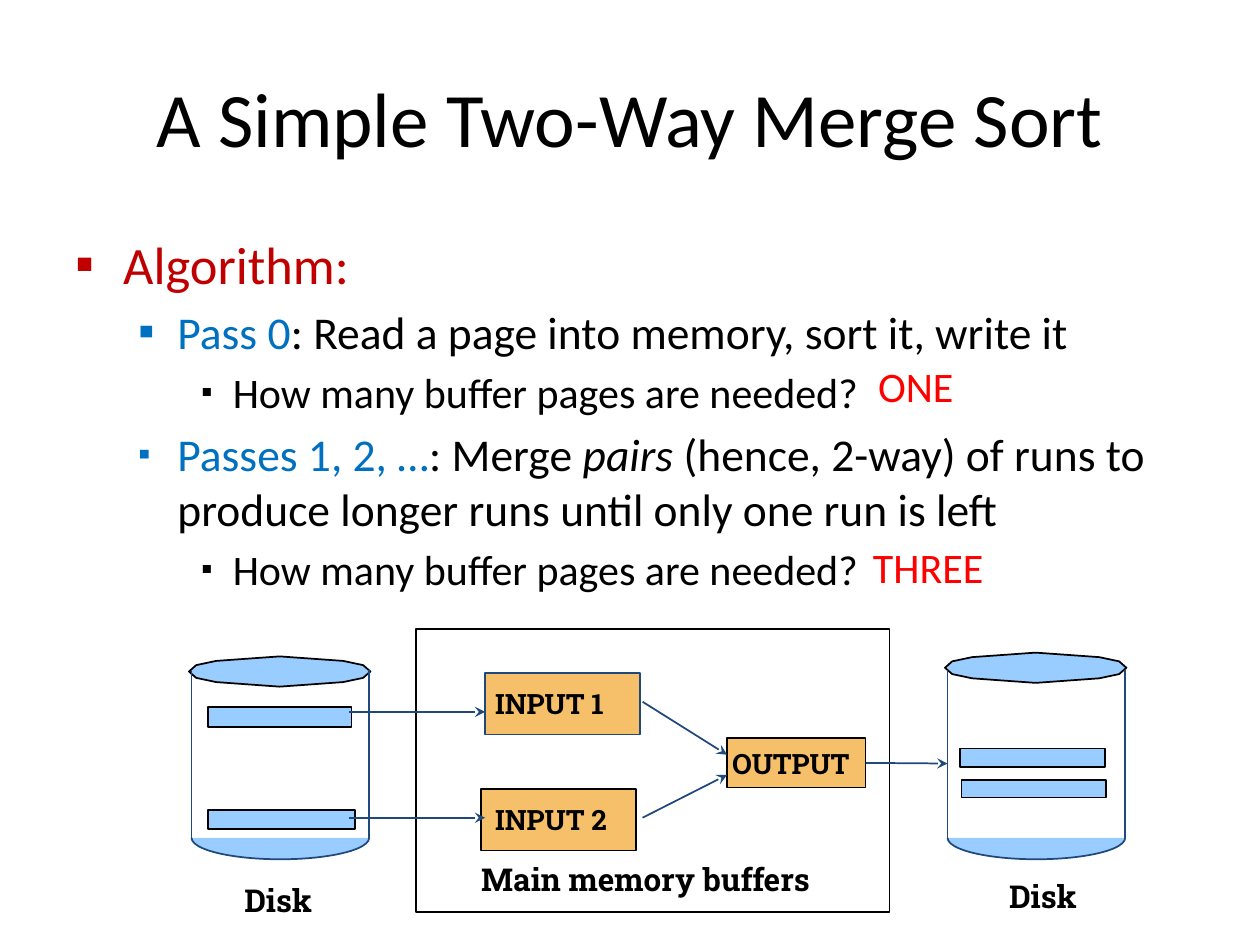
from collections import namedtuple

from lxml.etree import SubElement
from pptx import Presentation
from pptx.dml.color import RGBColor
from pptx.enum.shapes import MSO_CONNECTOR, MSO_SHAPE
from pptx.enum.text import MSO_ANCHOR, PP_ALIGN
from pptx.oxml.ns import qn
from pptx.util import Inches, Pt

BLACK = RGBColor(0x00, 0x00, 0x00)
NAVY = RGBColor(0x1F, 0x49, 0x7D)
SKY = RGBColor(0x99, 0xCC, 0xFF)
AMBER = RGBColor(0xF6, 0xBF, 0x69)
CRIMSON = RGBColor(0xC0, 0x00, 0x00)
BLUE = RGBColor(0x00, 0x70, 0xC0)
RED = RGBColor(0xFF, 0x00, 0x00)
BODY_FONT, LABEL_FONT = "Calibri", "Roboto Slab"

# The page is a grid of 100 columns by 75 rows
CELL = Inches(0.1)
Box = namedtuple("Box", "left top width height")
SIZES = (30, 26, 24)
INDENTS = ((0.38, -0.38), (0.81, -0.31), (1.25, -0.25))


def cells(*counts):
    return [round(count * CELL) for count in counts]


def inside(box, left, top, width, height):
    return Box(box.left + left, box.top + top, width, height)


def write(para, text, size=18, color=BLACK, font=BODY_FONT, bold=False, italic=False):
    span = para.add_run()
    span.text = text
    span.font.size, span.font.name = Pt(size), font
    span.font.bold, span.font.italic = bold, italic
    span.font.color.rgb = color


def add_label(page, box, text, **style):
    label = page.shapes.add_textbox(*cells(*box))
    label.text_frame.word_wrap = False
    write(label.text_frame.paragraphs[0], text, **style)


def paint(shape, fill=None, line=BLACK):
    shape.shadow.inherit = False
    if fill is None:
        shape.fill.background()
    else:
        shape.fill.solid()
        shape.fill.fore_color.rgb = fill
    shape.line.color.rgb = line
    shape.line.width = Pt(1)
    return shape


def add_block(page, box, fill=None, line=BLACK, kind=MSO_SHAPE.RECTANGLE):
    return paint(page.shapes.add_shape(kind, *cells(*box)), fill, line)


def add_line(page, start, end, arrow=False):
    line = page.shapes.add_connector(MSO_CONNECTOR.STRAIGHT, *cells(*start, *end))
    line.line.color.rgb = NAVY
    line.line.width = Pt(1)
    if arrow:
        SubElement(line.line._get_or_add_ln(), qn("a:tailEnd"), type="stealth")
    SubElement(line._element.spPr, qn("a:effectLst"))
    return line


def add_title(page, box, text):
    title = page.shapes.title
    title.left, title.top, title.width, title.height = cells(*box)
    title.text_frame.vertical_anchor = MSO_ANCHOR.MIDDLE
    para = title.text_frame.paragraphs[0]
    para.alignment = PP_ALIGN.CENTER
    write(para, text, size=44)


def set_bullet(para, level, scale, spaced):
    para.level = level
    props = para._p.get_or_add_pPr()
    left, indent = INDENTS[level]
    props.set("marL", str(Inches(left)))
    props.set("indent", str(Inches(indent)))
    if spaced:
        space = SubElement(props, qn("a:spcBef"))
        SubElement(space, qn("a:spcPct"), val="20000")
    SubElement(props, qn("a:buSzPct"), val=str(scale * 1000))
    SubElement(props, qn("a:buFont"), typeface=BODY_FONT)
    SubElement(props, qn("a:buChar"), char="▪")


def add_outline(page, box, items):
    frame = page.shapes.add_textbox(*cells(*box)).text_frame
    frame.word_wrap = True
    for index, (level, scale, spans) in enumerate(items):
        para = frame.add_paragraph() if index else frame.paragraphs[0]
        set_bullet(para, level, scale, spaced=index > 0)
        for text, style in spans:
            write(para, text, size=SIZES[level], **style)


def add_disk(page, box, stored, label_left):
    bottom = box.top + box.height
    wall_left, wall_width = box.left + 0.2, 14.1
    # Faceted lid, as shares of its own box
    upper = [(0, 0.5), (0.04, 0.29), (0.15, 0.15), (0.5, 0), (0.85, 0.15), (0.96, 0.29)]
    outline = upper + [(1 - x, 1 - y) for x, y in upper]
    points = [cells(box.left + x * box.width, box.top + y * 2.4) for x, y in outline]
    builder = page.shapes.build_freeform(*points[0])
    builder.add_line_segments(points[1:], close=True)
    paint(builder.convert_to_shape(), SKY)
    # Walls and rounded base
    for x in (wall_left, wall_left + wall_width):
        add_line(page, (x, bottom - 15), (x, bottom - 1.7))
    base = add_block(page, Box(wall_left, bottom - 3.4, wall_width, 3.4),
                     SKY, NAVY, MSO_SHAPE.ARC)
    base.adjustments[0], base.adjustments[1] = 0, 108  # 0 to 180 degrees
    # Stored pages and caption
    for part in stored:
        add_block(page, inside(box, *part), SKY)
    add_label(page, inside(box, label_left, 17.3, 7.8, 4), "Disk",
              font=LABEL_FONT, bold=True)


def add_buffer(page, box, text, inset, line=BLACK):
    block = add_block(page, box, AMBER, line)
    frame = block.text_frame
    frame.margin_left, frame.margin_right = Inches(inset), 0
    frame.margin_top = frame.margin_bottom = 0
    frame.vertical_anchor = MSO_ANCHOR.MIDDLE
    frame.paragraphs[0].alignment = PP_ALIGN.LEFT
    write(frame.paragraphs[0], text, size=16, font=LABEL_FONT, bold=True)
    return block


def add_memory(page, box):
    add_block(page, box)
    add_buffer(page, inside(box, 5.5, 3.5, 12.3, 4.9), "INPUT 1", 0.08, NAVY)
    add_buffer(page, inside(box, 5.2, 12.7, 12.3, 4.9), "INPUT 2", 0.11)
    output = add_buffer(page, inside(box, 24.7, 8.7, 11, 3.9), "OUTPUT", 0.04)
    add_label(page, inside(box, 4.2, 17.9, 29.9, 4), "Main memory buffers",
              font=LABEL_FONT, bold=True)
    return output


def add_flow(page, output):
    for start, end in [((27.7, 56.5), (38.5, 56.5)), ((27.7, 64.9), (38.5, 64.9)),
                       ((51, 55.7), (57.7, 59.9)), ((51, 64.9), (57.7, 61.5))]:
        add_line(page, start, end, arrow=True)
    add_line(page, (68.6, 60.6), (75.2, 60.6), arrow=True).begin_connect(output, 3)


def main():
    deck = Presentation()
    deck.slide_width, deck.slide_height = cells(100, 75)
    page = deck.slides.add_slide(deck.slide_layouts[5])

    # Heading and outline
    add_title(page, Box(5, 3, 90, 12.5), "A Simple Two-Way Merge Sort")
    question = (2, 75, [("How many buffer pages are needed?", {})])
    add_outline(page, Box(5, 17.9, 93.3, 30), [
        (0, 100, [("Algorithm:", {"color": CRIMSON})]),
        (1, 100, [("Pass 0", {"color": BLUE}),
                  (": Read a page into memory, sort it, write it", {})]),
        question,
        (1, 75, [("Passes 1, 2, …", {"color": BLUE}), (": Merge ", {}),
                 ("pairs", {"italic": True}),
                 (" (hence, 2-way) of runs to produce longer runs "
                  "until only one run is left", {})]),
        question,
    ])
    add_label(page, Box(68.7, 28.1, 8.1, 5), "ONE", size=24, color=RED)
    add_label(page, Box(68.3, 42.5, 10.9, 5), "THREE", size=24, color=RED)

    # Data flow from disk through memory and back to disk
    add_disk(page, Box(15, 52.1, 14.4, 16.1),
             [(1.5, 4, 11.4, 1.6), (1.5, 12.2, 11.7, 1.5)], 3.4)
    add_disk(page, Box(75, 51.8, 14.4, 16.4),
             [(1.2, 7.6, 11.5, 1.5), (1.3, 10.1, 11.5, 1.4)], 4.1)
    output = add_memory(page, Box(33, 49.9, 37.6, 22.5))
    add_flow(page, output)

    deck.save("out.pptx")


if __name__ == "__main__":
    main()
